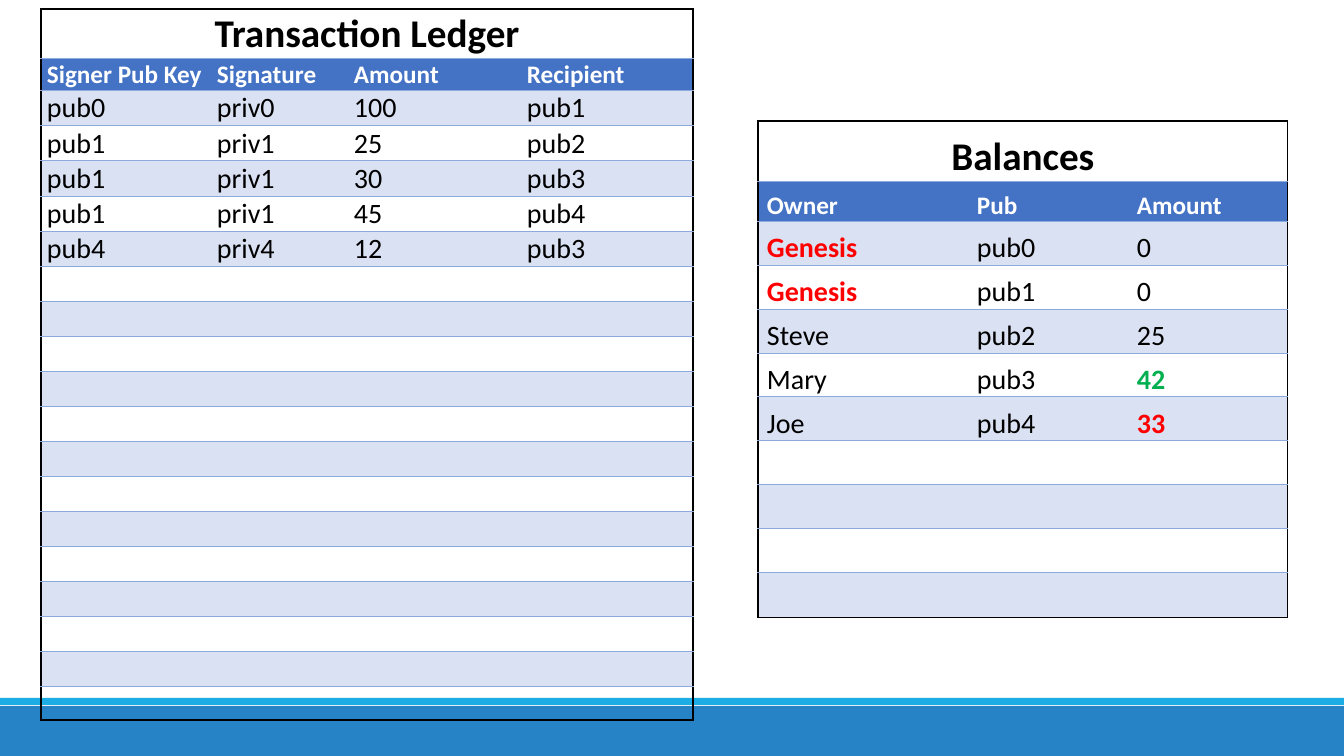
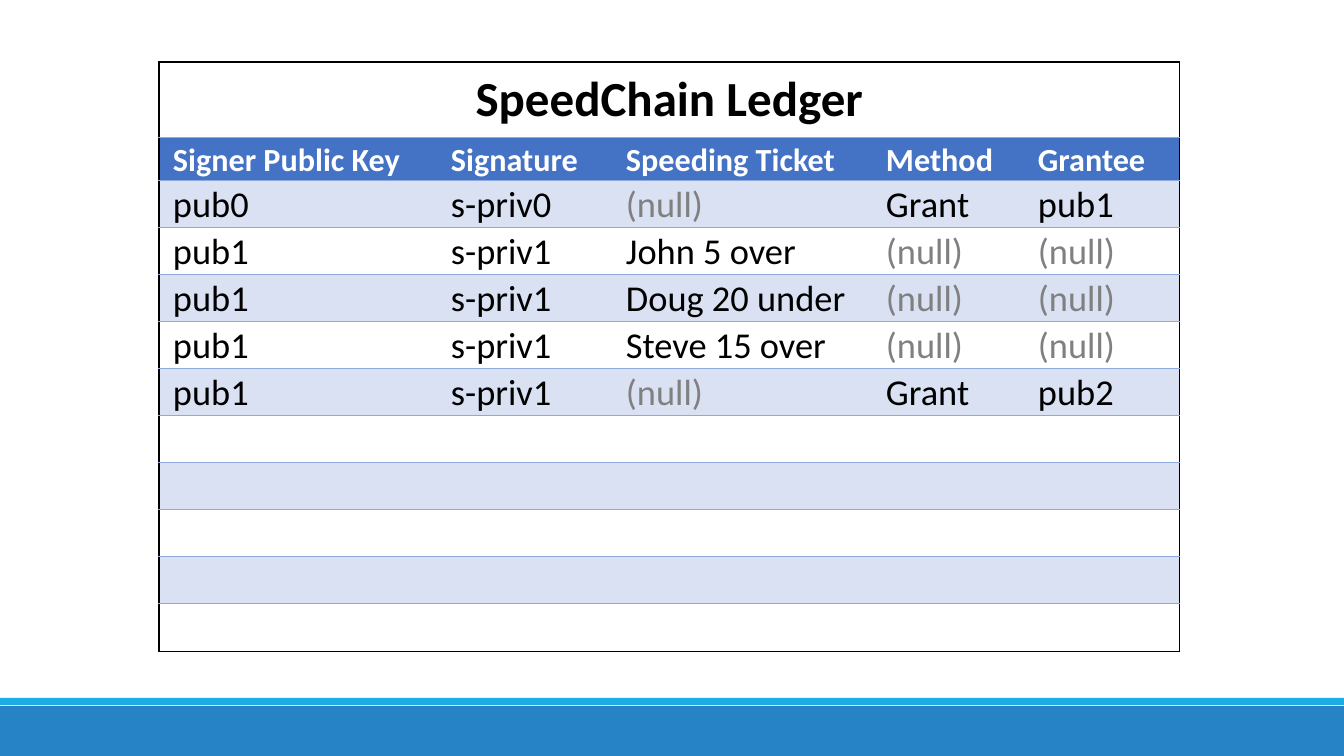
from lxml import etree
from pptx import Presentation
from pptx.dml.color import RGBColor
from pptx.enum import shapes, text
from pptx.oxml import ns
from pptx.util import Emu, Pt

EMU_PER_PX = 914400 / 100.8
SLIDE_WIDTH, SLIDE_HEIGHT = 1344, 756
FONT = "Calibri"
PLAIN_TABLE_STYLE = "{2D5ABB26-0587-4C30-8999-92F81FD0307C}"

BLACK = RGBColor(0x00, 0x00, 0x00)
WHITE = RGBColor(0xFF, 0xFF, 0xFF)
GRAY = RGBColor(0x80, 0x80, 0x80)
RED = RGBColor(0xFF, 0x00, 0x00)
GREEN = RGBColor(0x00, 0xB0, 0x50)
HEADER_BLUE = RGBColor(0x44, 0x72, 0xC4)
STRIPE_BLUE = RGBColor(0xD9, 0xE1, 0xF2)
RULE_BLUE = RGBColor(0x8E, 0xA9, 0xDB)
BAND_BLUE = RGBColor(0x26, 0x83, 0xC6)
BAND_CYAN = RGBColor(0x1C, 0xAD, 0xE4)

FRAME = (BLACK, 1)
RULE = (RULE_BLUE, 0.5)


def px(length):
    return Emu(round(length * EMU_PER_PX))


def add_master_bands(presentation, slide):
    master_tree = presentation.slide_master.element.cSld.spTree
    bands = ((706, 50, BAND_BLUE), (698, 7, BAND_CYAN))
    for index, (top, height, color) in enumerate(bands):
        band = slide.shapes.add_shape(
            shapes.MSO_SHAPE.RECTANGLE, 0, px(top), px(SLIDE_WIDTH), px(height))
        band.shadow.inherit = False
        band.fill.solid()
        band.fill.fore_color.rgb = color
        band.line.fill.background()
        band.element.nvSpPr.cNvPr.id = 100 + index
        master_tree.insert(2 + index, band.element)


def set_borders(cell, borders):
    properties = cell._tc.get_or_add_tcPr()
    position = 0
    for side in "LRTB":
        if side not in borders:
            continue
        color, width = borders[side]
        line = etree.Element(ns.qn(f"a:ln{side}"), w=str(Pt(width)))
        fill = etree.SubElement(line, ns.qn("a:solidFill"))
        etree.SubElement(fill, ns.qn("a:srgbClr"), val=str(color))
        properties.insert(position, line)
        position += 1


def write_cell(cell, content, insets, size, color=BLACK, bold=False):
    cell.margin_left, cell.margin_top, cell.margin_right, cell.margin_bottom = map(px, insets)
    cell.vertical_anchor = text.MSO_ANCHOR.BOTTOM
    cell.text_frame.text = content
    for run in cell.text_frame.paragraphs[0].runs:
        run.font.name = FONT
        run.font.size = Pt(size)
        run.font.color.rgb = color
        run.font.bold = bold


def add_ledger(slide, box, columns, heights, row_count, title, headers, records,
               sizes, insets, title_insets, accents):
    left, top, width, height = box
    title_height, header_height, body_height = heights
    title_size, header_size, body_size = sizes
    last_row, last_column = row_count - 1, len(columns) - 1
    table = slide.shapes.add_table(
        row_count, len(columns), px(left), px(top), px(width), px(height)).table
    table.first_row = table.horz_banding = False
    table._tbl.tblPr.find(ns.qn("a:tableStyleId")).text = PLAIN_TABLE_STYLE

    for column, column_width in zip(table.columns, columns):
        column.width = px(column_width)
    row_heights = [title_height, header_height] + [body_height] * (row_count - 3)
    row_heights.append(height - sum(row_heights))
    for row, row_height in zip(table.rows, row_heights):
        row.height = px(row_height)

    table.cell(0, 0).merge(table.cell(0, last_column))
    contents = [[title], headers, *records]
    for row in range(row_count):
        values = contents[row] if row < len(contents) else []
        for column in range(len(columns)):
            cell = table.cell(row, column)
            value = values[column] if column < len(values) else ""
            if row == 0:
                write_cell(cell, value, title_insets, title_size, bold=True)
                cell.text_frame.paragraphs[0].alignment = text.PP_ALIGN.CENTER
            elif row == 1:
                write_cell(cell, value, insets, header_size, WHITE, True)
            else:
                color, bold = accents.get(value, (BLACK, False))
                write_cell(cell, value, insets, body_size, color, bold)

            if row == 1 or (row > 1 and row % 2 == 0):
                cell.fill.solid()
                cell.fill.fore_color.rgb = HEADER_BLUE if row == 1 else STRIPE_BLUE
            else:
                cell.fill.background()

            borders = {"T": FRAME if row == 0 else RULE,
                       "B": FRAME if row == last_row else RULE}
            if column == 0:
                borders["L"] = FRAME
            if column + cell.span_width > last_column:
                borders["R"] = FRAME
            set_borders(cell, borders)


def add_transaction_ledger(slide, box):
    add_ledger(
        slide, box, columns=(170, 137, 173, 172), heights=(49, 32, 35), row_count=20,
        title="Transaction Ledger",
        headers=["Signer Pub Key", "Signature", "Amount", "Recipient"],
        records=[
            ["pub0", "priv0", "100", "pub1"],
            ["pub1", "priv1", "25", "pub2"],
            ["pub1", "priv1", "30", "pub3"],
            ["pub1", "priv1", "45", "pub4"],
            ["pub4", "priv4", "12", "pub3"],
        ],
        sizes=(28, 18, 20), insets=(6, 1, 1, 0), title_insets=(1, 1, 1, 0), accents={})


def add_balances(slide, box):
    add_ledger(
        slide, box, columns=(210, 160, 160), heights=(60, 40, 44), row_count=11,
        title="Balances",
        headers=["Owner", "Pub", "Amount"],
        records=[
            ["Genesis", "pub0", "0"],
            ["Genesis", "pub1", "0"],
            ["Steve", "pub2", "25"],
            ["Mary", "pub3", "42"],
            ["Joe", "pub4", "33"],
        ],
        sizes=(28, 18, 20), insets=(9, 1, 1, 0), title_insets=(1, 1, 1, 0),
        accents={"Genesis": (RED, True), "42": (GREEN, True), "33": (RED, True)})


def add_speed_ledger(slide, box):
    add_ledger(
        slide, box, columns=(278, 175, 260, 152, 156), heights=(75, 43, 47), row_count=12,
        title="SpeedChain Ledger",
        headers=["Signer Public Key", "Signature", "Speeding Ticket", "Method", "Grantee"],
        records=[
            ["pub0", "s-priv0", "(null)", "Grant", "pub1"],
            ["pub1", "s-priv1", "John 5 over", "(null)", "(null)"],
            ["pub1", "s-priv1", "Doug 20 under", "(null)", "(null)"],
            ["pub1", "s-priv1", "Steve 15 over", "(null)", "(null)"],
            ["pub1", "s-priv1", "(null)", "Grant", "pub2"],
        ],
        sizes=(35, 23, 26), insets=(14, 2, 2, 0), title_insets=(15, 7, 15, 7),
        accents={"(null)": (GRAY, False)})


def main():
    presentation = Presentation()
    presentation.slide_width = px(SLIDE_WIDTH)
    presentation.slide_height = px(SLIDE_HEIGHT)
    blank_layout = presentation.slide_layouts.get_by_name("Blank")

    transactions_slide = presentation.slides.add_slide(blank_layout)
    add_master_bands(presentation, transactions_slide)
    add_transaction_ledger(transactions_slide, (41, 9, 652, 710))
    add_balances(transactions_slide, (758, 121, 530, 497))

    speed_slide = presentation.slides.add_slide(blank_layout)
    add_speed_ledger(speed_slide, (159, 62, 1021, 590))

    presentation.save("out.pptx")


if __name__ == "__main__":
    main()
